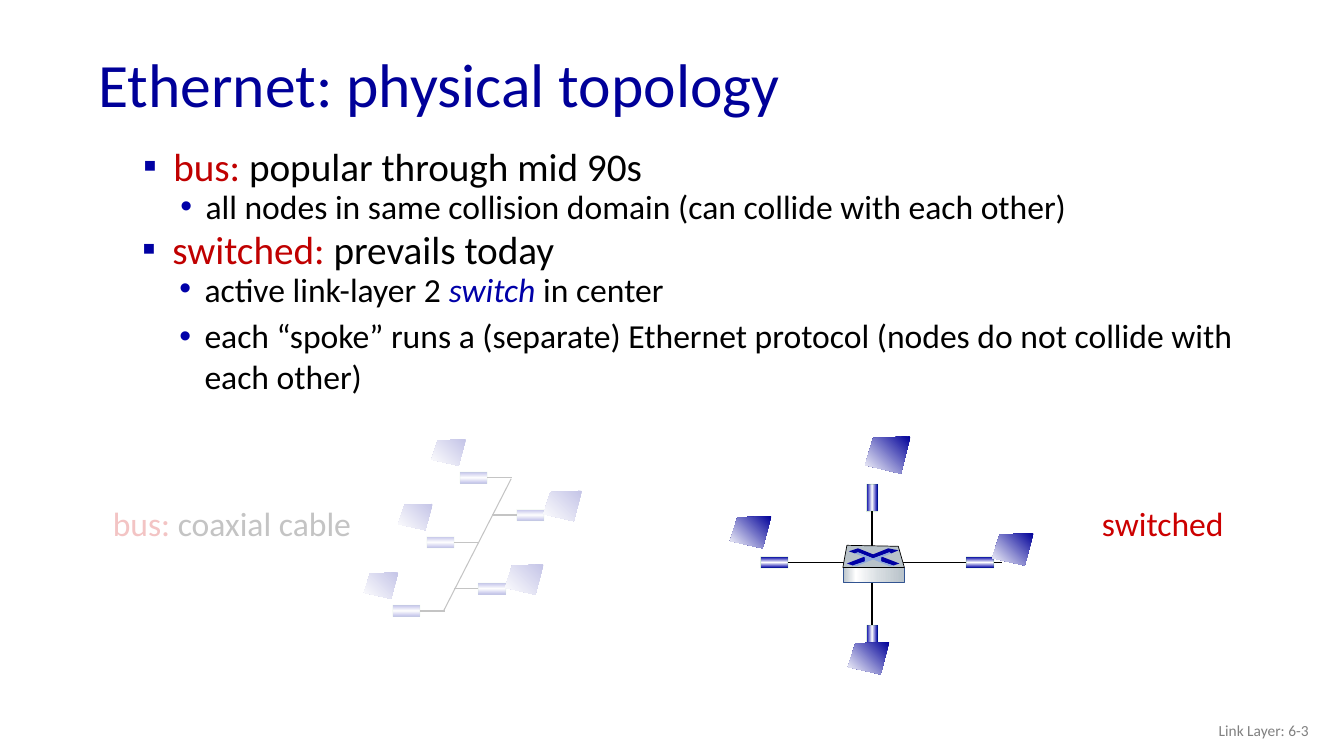
from lxml import etree
from pptx import Presentation
from pptx import util as u
from pptx.dml.color import RGBColor
from pptx.enum import shapes, text
from pptx.oxml.ns import qn

TITLE_BLUE = RGBColor(0x00, 0x00, 0x99)
BLUE = RGBColor(0x00, 0x00, 0xA8)
MARK_BLUE = RGBColor(0x00, 0x00, 0xA3)
SKY = RGBColor(0x8F, 0xAA, 0xDC)
EDGE_BLUE = RGBColor(0x32, 0x54, 0x91)
DARK_RED = RGBColor(0xC0, 0x00, 0x00)
RED = RGBColor(0xCC, 0x00, 0x00)
GREEN = RGBColor(0x00, 0x80, 0x00)
GRAY = RGBColor(0x80, 0x80, 0x80)
STEEL = RGBColor(0xB8, 0xC2, 0xC9)
PALE = RGBColor(0xD6, 0xDC, 0xE0)
BLACK = RGBColor(0, 0, 0)
WHITE = RGBColor(255, 255, 255)

FONT = "Calibri"
BULLETS = [("▪", MARK_BLUE, 0.44, -0.3, 28, 10), ("•", BLUE, 0.76, -0.25, 24, 5)]

TOPICS = [
    ((1.18, 1.47, 11.85, 1.01), [
        (0, 0.75, [("bus: ", DARK_RED, False), ("popular through mid 90s", BLACK, False)]),
        (1, 0.75, [("all nodes in same collision domain (can collide with each other)", BLACK, False)]),
    ]),
    ((1.17, 2.29, 11.85, 1.79), [
        (0, 0.75, [("switched: ", DARK_RED, False), ("prevails today", BLACK, False)]),
        (1, 0.75, [("active link-layer 2 ", BLACK, False), ("switch ", BLUE, True),
                   ("in center", BLACK, False)]),
        (1, 1.0, [("each “spoke” runs a (separate) Ethernet protocol "
                   "(nodes do not collide with each other)", BLACK, False)]),
    ]),
]

BUS_CABLE = (5.07, 4.75, 4.4, 6.06)
BUS_LEFT = [(4.7, 4.74), (4.37, 5.38), (4.03, 6.06)]
BUS_RIGHT = [(4.88, 5.84), (5.26, 5.11)]
SPOKES = [(8.65, 5.06, 8.65, 6.44), (7.6, 5.58, 9.94, 5.58)]
STAR_HOSTS = [
    ((7.68, 5.58), False, (7.24, 5.12, 0.41, 0.32)),
    ((9.72, 5.58), False, (9.84, 5.29, 0.41, 0.32)),
    ((8.65, 6.34), True, (8.41, 6.37, 0.41, 0.32)),
    ((8.65, 4.94), True, (8.58, 4.33, 0.45, 0.37)),
]

NIC_LONG, NIC_SHORT = 0.27, 0.11
NIC_STOPS = [(0, BLUE), (50, WHITE), (99, BLUE)]
SCREEN_STOPS = [(0, TITLE_BLUE), (100, WHITE)]
BODY_STOPS = [(0, STEEL), (21, WHITE), (60, PALE), (100, STEEL)]
SCREEN = [(1, 0), (0.18, 0.04), (0, 0.77), (0.79, 1)]

SWITCH_TOP = [(8.36, 5.63), (8.4, 5.41), (8.91, 5.42), (8.97, 5.63)]
SWITCH_ARROWS = [
    (MARK_BLUE, [(8.81, 5.44), (8.91, 5.46), (8.84, 5.49), (8.82, 5.48), (8.66, 5.54),
                 (8.51, 5.48), (8.48, 5.49), (8.42, 5.47), (8.51, 5.44), (8.66, 5.5)]),
    (MARK_BLUE, [(8.74, 5.52), (8.92, 5.59), (8.86, 5.61), (8.74, 5.57)]),
    (BLUE, [(8.58, 5.52), (8.58, 5.57), (8.46, 5.61), (8.4, 5.59)]),
    (SKY, [(8.48, 5.49), (8.51, 5.48), (8.66, 5.54), (8.82, 5.48), (8.84, 5.49),
           (8.74, 5.53), (8.74, 5.57), (8.86, 5.61), (8.83, 5.62), (8.66, 5.55),
           (8.49, 5.62), (8.46, 5.61), (8.58, 5.57), (8.58, 5.53)]),
]

prs = Presentation()


def size(inches):
    return u.Cm(inches * 2.54)


prs.slide_width, prs.slide_height = size(13.33), size(7.5)
s = prs.slides.add_slide(prs.slide_layouts[6])


def add_run(p, words, points, color, italic=False):
    r = p.add_run()
    r.text = words
    r.font.name, r.font.size = FONT, u.Pt(points)
    r.font.italic = italic
    r.font.color.rgb = color


def add_frame(box, wrap=True, anchor=text.MSO_ANCHOR.TOP):
    tf = s.shapes.add_textbox(*map(size, box)).text_frame
    tf.word_wrap = wrap
    tf.vertical_anchor = anchor
    if not wrap:
        tf.auto_size = text.MSO_AUTO_SIZE.SHAPE_TO_FIT_TEXT
    return tf


def add_bullet(p, mark, color, left, hang):
    pPr = p._p.get_or_add_pPr()
    pPr.set("marL", str(size(left)))
    pPr.set("indent", str(size(hang)))
    clr = etree.SubElement(pPr, qn("a:buClr"))
    etree.SubElement(clr, qn("a:srgbClr"), val=str(color))
    etree.SubElement(pPr, qn("a:buFont"), typeface="Arial")
    etree.SubElement(pPr, qn("a:buChar"), char=mark)


def add_topic(box, lines):
    tf = add_frame(box)
    for i, (level, spacing, runs) in enumerate(lines):
        p = tf.add_paragraph() if i else tf.paragraphs[0]
        mark, color, left, hang, points, before = BULLETS[level]
        p.level = level
        add_bullet(p, mark, color, left, hang)
        p.line_spacing = spacing
        p.space_before = u.Pt(before if i else 0)
        for words, ink, italic in runs:
            add_run(p, words, points, ink, italic)


def set_gradient(sp, stops, angle):
    sp.fill.gradient()
    grad = sp._element.spPr.find(qn("a:gradFill"))
    for child in list(grad):
        grad.remove(child)
    gs_list = etree.SubElement(grad, qn("a:gsLst"))
    for pos, color in stops:
        gs = etree.SubElement(gs_list, qn("a:gs"), pos=str(pos * 1000))
        etree.SubElement(gs, qn("a:srgbClr"), val=str(color))
    etree.SubElement(grad, qn("a:lin"), ang=str(angle * 60000), scaled="0")


def set_alpha(color_parent, percent):
    clr = color_parent.find(".//" + qn("a:srgbClr"))
    etree.SubElement(clr, qn("a:alpha"), val=str(percent * 1000))


def set_line(sp, color=None, points=0):
    sp.shadow.inherit = False
    if color is None:
        sp.line.fill.background()
    else:
        sp.line.color.rgb, sp.line.width = color, u.Pt(points)


def add_rect(box):
    return s.shapes.add_shape(shapes.MSO_SHAPE.RECTANGLE, *map(size, box))


def add_outline(points):
    pts = [(size(x), size(y)) for x, y in points]
    fb = s.shapes.build_freeform(*pts[0], scale=1.0)
    fb.add_line_segments(pts[1:], close=True)
    return fb.convert_to_shape()


def add_line(ends, points):
    ln = s.shapes.add_connector(shapes.MSO_CONNECTOR.STRAIGHT, *map(size, ends))
    ln.line.color.rgb, ln.line.width = BLACK, u.Pt(points)
    etree.SubElement(ln._element.spPr, qn("a:effectLst"))
    return ln


def add_nic(center, upright=False):
    w, h = (NIC_SHORT, NIC_LONG) if upright else (NIC_LONG, NIC_SHORT)
    sp = add_rect((center[0] - w / 2, center[1] - h / 2, w, h))
    set_gradient(sp, NIC_STOPS, 0 if upright else 90)
    set_line(sp, GREEN, 0.75)
    set_alpha(sp._element.spPr.find(qn("a:ln")), 15)
    return sp


def add_screen(x, y, w, h):
    sp = add_outline([(x + fx * w, y + fy * h) for fx, fy in SCREEN])
    set_gradient(sp, SCREEN_STOPS, 135)
    set_line(sp)


def add_bus_hosts(centers, side, site, screen):
    dx, dy, w, h = screen
    for x, y in centers:
        nic = add_nic((x, y))
        tap = add_line((x + side * NIC_LONG / 2, y, x + side * 0.38, y), 1)
        tap.begin_connect(nic, site)
        add_screen(x + dx, y + dy, w, h)


p = add_frame((0.88, 0.38, 11.5, 0.98), anchor=text.MSO_ANCHOR.MIDDLE).paragraphs[0]
p.line_spacing = 0.9
add_run(p, "Ethernet: physical topology", 44, TITLE_BLUE)
p = add_frame((10.08, 7.05, 3, 0.4), anchor=text.MSO_ANCHOR.MIDDLE).paragraphs[0]
p.alignment = text.PP_ALIGN.RIGHT
add_run(p, "Link Layer: 6-3", 11, GRAY)
for box, lines in TOPICS:
    add_topic(box, lines)

add_line(BUS_CABLE, 0.75)
p = add_frame((1.02, 4.94, 2.58, 0.5), wrap=False).paragraphs[0]
add_run(p, "bus: ", 24, RED)
add_run(p, "coaxial cable", 24, BLACK)
add_bus_hosts(BUS_LEFT, 1, 3, (-0.42, -0.38, 0.34, 0.26))
add_bus_hosts(BUS_RIGHT, -1, 1, (0.13, -0.24, 0.38, 0.3))

for ends in SPOKES:
    add_line(ends, 1)
p = add_frame((10.83, 4.94, 1.42, 0.5), wrap=False).paragraphs[0]
add_run(p, "switched", 24, RED)
for center, upright, screen in STAR_HOSTS:
    add_nic(center, upright)
    add_screen(*screen)

sp = add_rect((8.36, 5.63, 0.61, 0.15))
set_gradient(sp, BODY_STOPS, 0)
set_line(sp, EDGE_BLUE, 0.5)
sp = add_outline(SWITCH_TOP)
sp.fill.solid()
sp.fill.fore_color.rgb = STEEL
set_line(sp, BLACK, 0.5)
for color, points in SWITCH_ARROWS:
    sp = add_outline(points)
    sp.fill.solid()
    sp.fill.fore_color.rgb = color
    set_line(sp)

veil = add_rect((0.88, 4.09, 5.35, 2.6))
veil.fill.solid()
veil.fill.fore_color.rgb = WHITE
set_alpha(veil._element.spPr.find(qn("a:solidFill")), 77)
set_line(veil)

prs.save("out.pptx")
